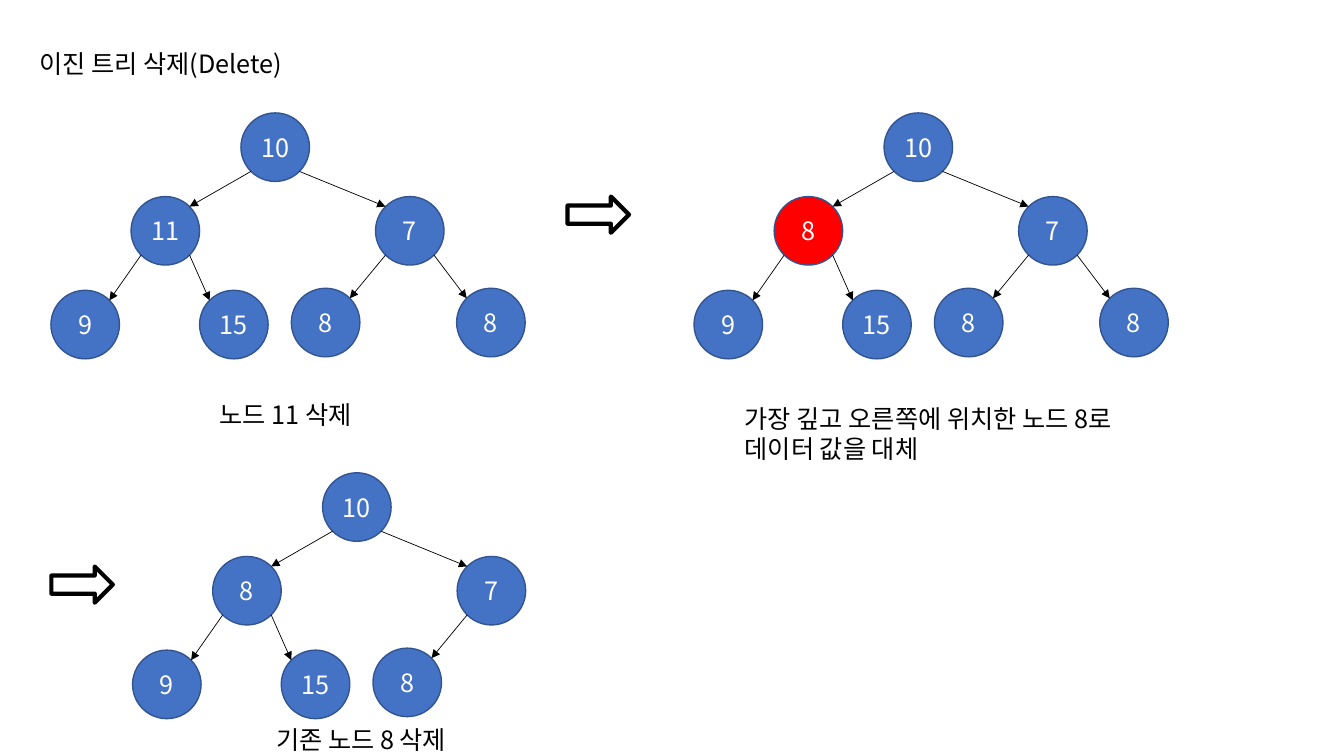
import pptx
import pptx.util
import pptx.dml.color
import pptx.enum.shapes
import pptx.enum.text
import pptx.oxml.ns
import lxml.etree

CELL = 0.1  # inches in one grid column or row
FONT = "Noto Sans CJK KR"
BLACK, WHITE, BLUE, NAVY, RED = "000000", "FFFFFF", "4472C4", "325491", "FF0000"

NODE = 6.8  # node diameter
INSET = NODE * (1 - 0.5 ** 0.5) / 2  # from a node's frame to its diagonal points
# Node places, level by level, relative to the root
PLACES = [(0, 0), (-10.9, 8.3), (13.35, 8.3),
          (-18.85, 17.6), (-4.1, 17.6), (5, 17.4), (21.4, 17.4)]


def grid(*cells):
    """Turn grid columns and rows into slide lengths."""
    return [pptx.util.Inches(cell * CELL) for cell in cells]


def colour(value):
    """Turn a hex string into a colour."""
    return pptx.dml.color.RGBColor.from_string(value)


def add_xml(parent, tag, **attributes):
    """Append a drawing element to a parent element."""
    return lxml.etree.SubElement(parent, pptx.oxml.ns.qn(tag), attributes)


def format_text(frame, text, ink, align):
    """Write text and give every run the slide's font."""
    frame.text = text
    for para in frame.paragraphs:
        para.alignment = align
        para.line_spacing = 1.0
        for span in para.runs:
            span.font.size = pptx.util.Pt(18)
            span.font.name = FONT
            span.font.color.rgb = colour(ink)
            add_xml(span.font._element, "a:ea", typeface=FONT)


def format_label(box, text):
    """Format a box as unwrapped black text, aligned left."""
    frame = box.text_frame
    frame.word_wrap = False
    frame.auto_size = pptx.enum.text.MSO_AUTO_SIZE.SHAPE_TO_FIT_TEXT
    frame.vertical_anchor = pptx.enum.text.MSO_ANCHOR.TOP
    format_text(frame, text, BLACK, pptx.enum.text.PP_ALIGN.LEFT)


def set_title(page, text, left, top, width, height):
    """Place and fill the title placeholder."""
    title = page.shapes.title
    title.left, title.top, title.width, title.height = grid(left, top, width, height)
    format_label(title, text)


def add_caption(page, text, left, top, width, height):
    """Add the caption of a tree."""
    format_label(page.shapes.add_textbox(*grid(left, top, width, height)), text)


def add_node(page, left, top, value, fill):
    """Add a round tree node with its value."""
    node = page.shapes.add_shape(
        pptx.enum.shapes.MSO_SHAPE.FLOWCHART_CONNECTOR, *grid(left, top, NODE, NODE))
    node.shadow.inherit = False
    node.fill.solid()
    node.fill.fore_color.rgb = colour(fill)
    node.line.color.rgb = colour(NAVY)
    node.line.width = pptx.util.Pt(1)
    frame = node.text_frame
    frame.margin_left = frame.margin_right = 0
    frame.vertical_anchor = pptx.enum.text.MSO_ANCHOR.MIDDLE
    format_text(frame, value, WHITE, pptx.enum.text.PP_ALIGN.CENTER)


def add_edge(page, parent, child):
    """Add an arrow from a parent's lower side to its child's upper side."""
    near, far = INSET, NODE - INSET
    start, end = (near, far) if child[0] < parent[0] else (far, near)
    edge = page.shapes.add_connector(
        pptx.enum.shapes.MSO_CONNECTOR.STRAIGHT,
        *grid(parent[0] + start, parent[1] + far, child[0] + end, child[1] + near))
    edge.line.color.rgb = colour(BLACK)
    edge.line.width = pptx.util.Pt(0.5)
    add_xml(edge.line._get_or_add_ln(), "a:tailEnd", type="triangle")
    add_xml(edge._element.spPr, "a:effectLst")


def add_tree(page, left, top, values, marked=None):
    """Add a binary tree in level order, with one node marked red."""
    spots = [(left + across, top + down) for across, down in PLACES]
    for index, value in enumerate(values):
        add_node(page, *spots[index], value, RED if index == marked else BLUE)
        if index:
            add_edge(page, spots[(index - 1) // 2], spots[index])


def add_step_arrow(page, left, top):
    """Add a hollow arrow that leads to the next step."""
    arrow = page.shapes.add_shape(
        pptx.enum.shapes.MSO_SHAPE.RIGHT_ARROW, *grid(left, top, 6.1, 3.6))
    arrow.shadow.inherit = False
    arrow.fill.background()
    arrow.line.color.rgb = colour(BLACK)
    arrow.line.width = pptx.util.Pt(3)


def main():
    """Build the slide on deleting a binary tree node."""
    deck = pptx.Presentation()
    deck.slide_width, deck.slide_height = grid(133.33, 75)
    page = deck.slides.add_slide(deck.slide_layouts[5])
    set_title(page, "이진 트리 삭제(Delete)", 2.9, 4.3, 27.8, 4)

    add_tree(page, 23.9, 11.2, ["10", "11", "7", "9", "15", "8", "8"])
    add_caption(page, "노드 11 삭제", 20.8, 39.1, 16.7, 4)

    add_step_arrow(page, 56.3, 19.5)
    add_tree(page, 87.7, 11.2, ["10", "8", "7", "9", "15", "8", "8"], marked=1)
    add_caption(page, "가장 깊고 오른쪽에 위치한 노드 8로\n데이터 값을 대체",
                72.9, 39.5, 43.2, 7.1)

    add_step_arrow(page, 5.1, 56.2)
    add_tree(page, 32, 46.9, ["10", "8", "7", "9", "15", "8"])
    add_caption(page, "기존 노드 8 삭제", 26.4, 71.4, 21.2, 4)
    deck.save("out.pptx")


main()
